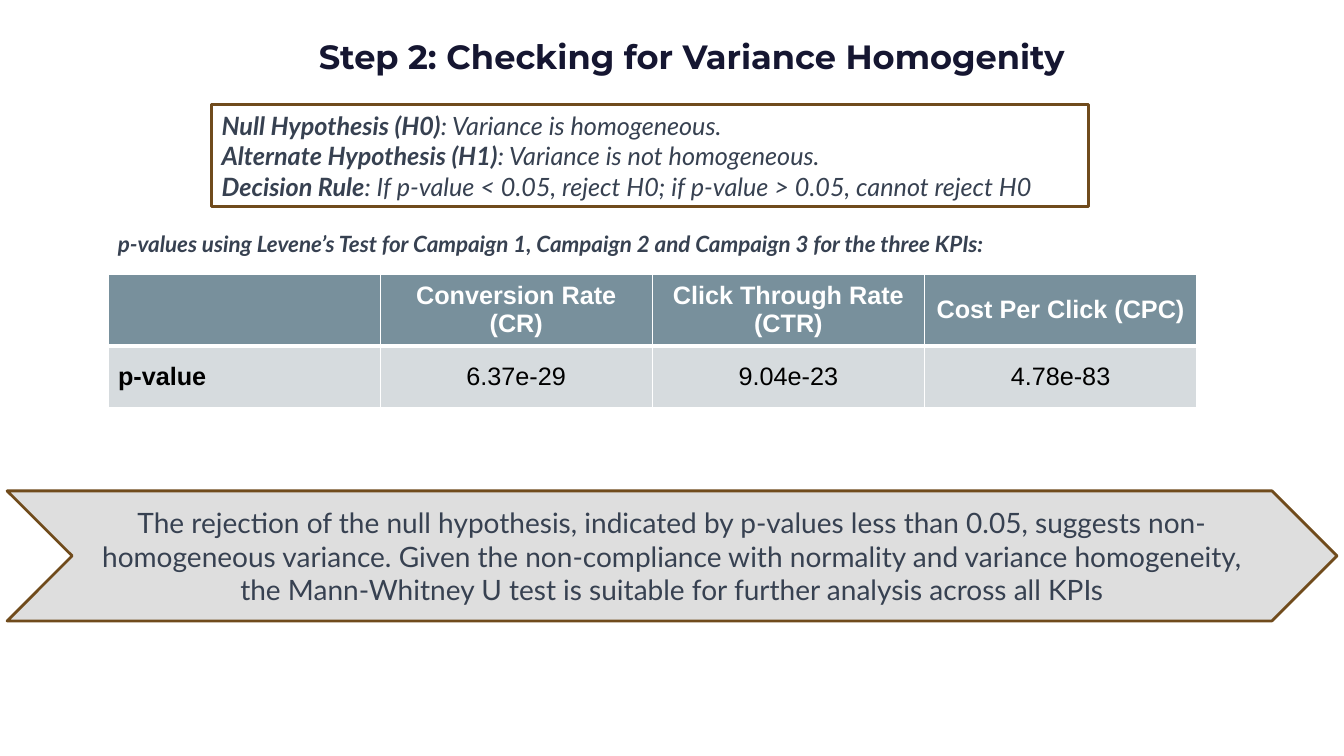
from lxml.etree import SubElement
from pptx import Presentation
from pptx.dml.color import RGBColor
from pptx.enum.shapes import MSO_SHAPE
from pptx.enum.text import MSO_ANCHOR, MSO_AUTO_SIZE, PP_ALIGN
from pptx.oxml.ns import qn
from pptx.util import Inches, Pt

LEFT, CENTER = PP_ALIGN.LEFT, PP_ALIGN.CENTER
TOP, MIDDLE = MSO_ANCHOR.TOP, MSO_ANCHOR.MIDDLE
NO_FIT = MSO_AUTO_SIZE.NONE
RECT, CHEVRON = MSO_SHAPE.RECTANGLE, MSO_SHAPE.CHEVRON
WIDE, HIGH = Inches(13.33), Inches(7.5)
COLORS = {
    "title": "151631",
    "body": "374151",
    "edge": "704B1C",
    "band": "DEDEDE",
    "head": "78909C",
    "row": "D6DBDE",
    "white": "FFFFFF",
    "black": "000000",
}
RULES = [
    ("Null Hypothesis (H0)", ": Variance is homogeneous."),
    ("Alternate Hypothesis (H1)", ": Variance is not homogeneous."),
    ("Decision Rule", ": If p-value < 0.05, reject H0; if p-value > 0.05, cannot reject H0"),
]
TESTS = [
    ["", "Conversion Rate (CR)", "Click Through Rate (CTR)", "Cost Per Click (CPC)"],
    ["p-value", "6.37e-29", "9.04e-23", "4.78e-83"],
]
FINDING = (
    "The rejection of the null hypothesis, indicated by p-values less than 0.05, "
    "suggests non-homogeneous variance. Given the non-compliance with normality and "
    "variance homogeneity, the Mann-Whitney U test is suitable for further analysis "
    "across all KPIs"
)


def color(name):
    """Return the named colour."""
    return RGBColor.from_string(COLORS[name])


def area(x, y, w, h):
    """Turn percentages of the slide into left, top, width and height."""
    return [int(side * part / 100) for side, part in zip((WIDE, HIGH) * 2, (x, y, w, h))]


def style(para, face, size, ink, bold=None, slant=None, align=LEFT):
    """Set the font and alignment of a paragraph."""
    font = para.font
    font.name, font.size, font.bold, font.italic = face, Pt(size), bold, slant
    font.color.rgb = color(ink)
    para.alignment = align


def add_title(slide, text, box):
    """Move and format the title placeholder."""
    title = slide.shapes.title
    title.left, title.top, title.width, title.height = area(*box)
    frame = title.text_frame
    frame.text = text
    frame.auto_size, frame.vertical_anchor = NO_FIT, TOP
    frame.margin_left = frame.margin_right = Inches(0.13)
    frame.margin_top = frame.margin_bottom = Inches(0.13)
    style(frame.paragraphs[0], "Montserrat", 24, "title", bold=True, align=CENTER)


def add_panel(slide, kind, box, fill=None):
    """Add an outlined shape and return its text frame."""
    panel = slide.shapes.add_shape(kind, *area(*box))
    panel.shadow.inherit = False
    panel.line.color.rgb = color("edge")
    panel.line.width = Pt(2)
    if fill:
        panel.fill.solid()
        panel.fill.fore_color.rgb = color(fill)
    else:
        panel.fill.background()
    frame = panel.text_frame
    frame.word_wrap, frame.vertical_anchor = True, MIDDLE
    return frame


def add_rules(slide, box):
    """Add the box with the hypotheses and the decision rule."""
    frame = add_panel(slide, RECT, box)
    for index, (term, rest) in enumerate(RULES):
        para = frame.add_paragraph() if index else frame.paragraphs[0]
        style(para, "Lato", 18, "body", slant=True)
        for text, bold in ((term, True), (rest, False)):
            run = para.add_run()
            run.text, run.font.bold = text, bold


def add_note(slide, text, box):
    """Add the caption above the table."""
    frame = slide.shapes.add_textbox(*area(*box)).text_frame
    frame.word_wrap, frame.vertical_anchor = True, MIDDLE
    frame.text = text
    style(frame.paragraphs[0], "Lato", 16, "body", bold=True, slant=True)


def add_edges(cell, widths):
    """Draw white cell borders, with widths in points by side."""
    props = cell._tc.get_or_add_tcPr()
    for side, width in widths.items():
        edge = SubElement(props, qn(f"a:ln{side}"), w=str(Pt(width)))
        fill = SubElement(edge, qn("a:solidFill"))
        SubElement(fill, qn("a:srgbClr"), val=COLORS["white"])


def add_tests(slide, box, rows):
    """Add the table of p-values with row heights in percent."""
    table = slide.shapes.add_table(len(TESTS), len(TESTS[0]), *area(*box)).table
    for r, line in enumerate(TESTS):
        table.rows[r].height = int(HIGH * rows[r] / 100)
        for c, text in enumerate(line):
            cell = table.cell(r, c)
            head = r == 0
            add_edges(cell, {"L": 1, "R": 1, "T": 1 if head else 3, "B": 3 if head else 1})
            cell.fill.solid()
            cell.fill.fore_color.rgb = color("head" if head else "row")
            cell.vertical_anchor = MIDDLE
            cell.text = text
            style(cell.text_frame.paragraphs[0], "Arial", 18, "white" if head else "black",
                  bold=head or c == 0, align=CENTER if c else LEFT)


def main():
    """Build and save the slide."""
    deck = Presentation()
    deck.slide_width, deck.slide_height = WIDE, HIGH
    slide = deck.slides.add_slide(deck.slide_layouts[5])
    add_title(slide, "Step 2: Checking for Variance Homogenity", (0, 3.07, 102.93, 10))
    add_rules(slide, (15.75, 13.87, 65.27, 13.47))
    add_tests(slide, (8.03, 36.27, 81.02, 17.47), (9.47, 8.13))
    frame = add_panel(slide, CHEVRON, (0.53, 64.93, 98.95, 17.2), "band")
    frame.text = FINDING
    style(frame.paragraphs[0], "Lato", 20, "body", align=CENTER)
    add_note(slide, "p-values using Levene’s Test for Campaign 1, Campaign 2 and "
             "Campaign 3 for the three KPIs:", (8.03, 30.27, 70.97, 4))
    deck.save("out.pptx")


if __name__ == "__main__":
    main()
